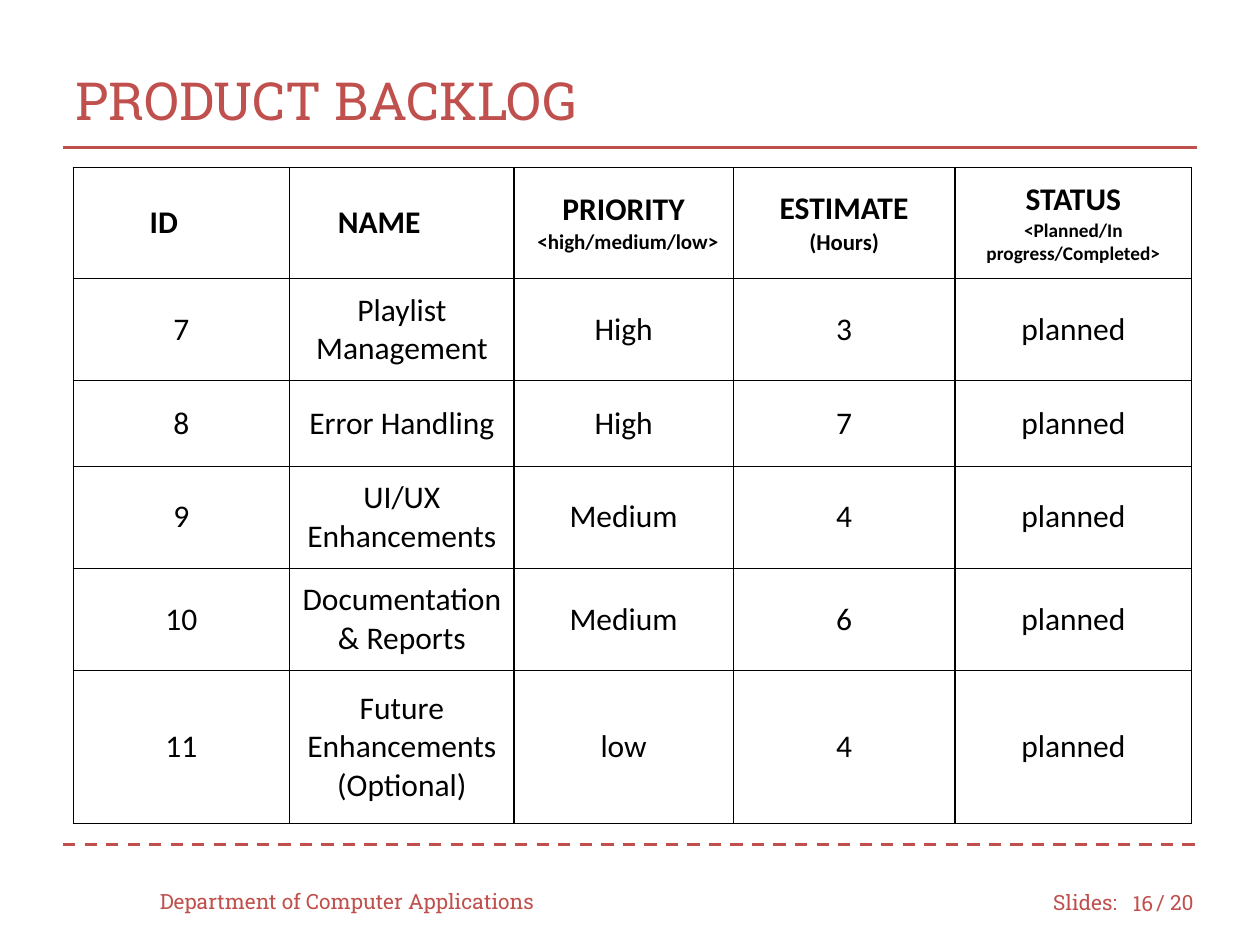
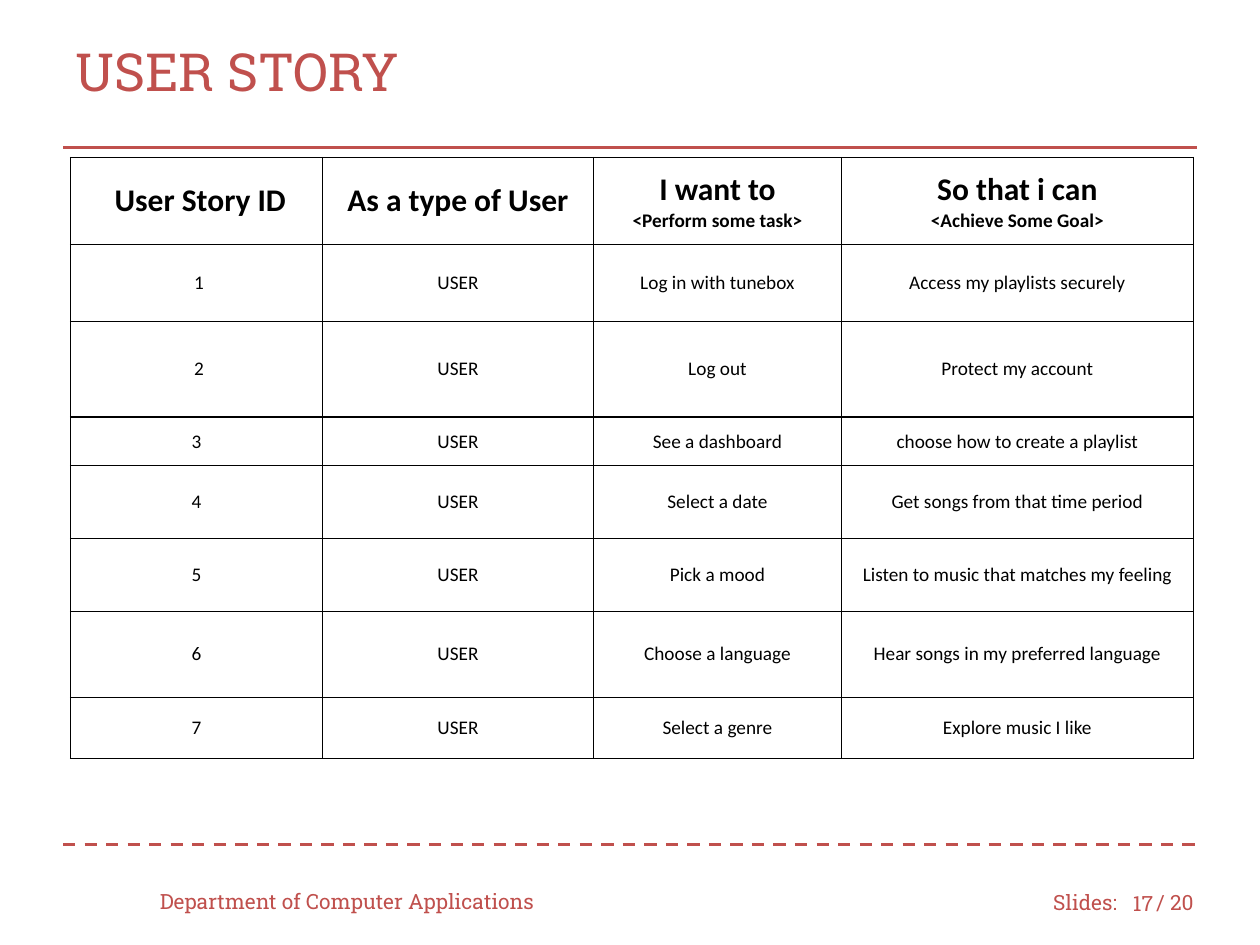
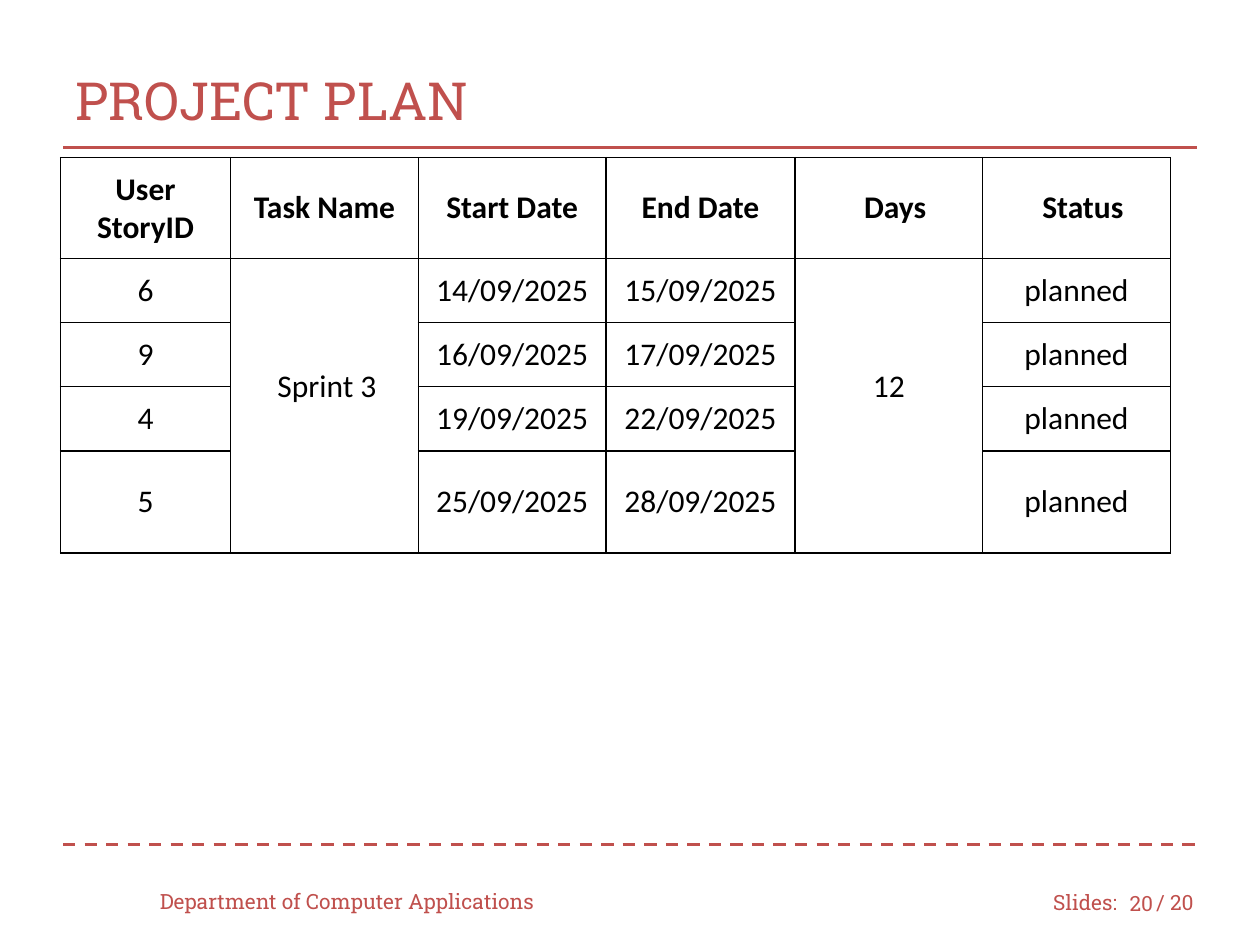
from pptx import Presentation
from pptx.dml.color import RGBColor
from pptx.enum.dml import MSO_LINE
from pptx.enum.shapes import MSO_CONNECTOR
from pptx.enum.text import MSO_ANCHOR, PP_ALIGN
from pptx.oxml import parse_xml
from pptx.oxml.ns import nsdecls, qn
from pptx.util import Inches, Pt
from lxml.etree import SubElement

COLORS = {"accent": "C0504D", "text": "000000", "cell": "FFFFFF"}
BRAND_FONT = "Roboto Slab"
TABLE_FONT = "Calibri"
TITLE_BOX = (0.5, 0.33, 9, 0.92)
CELL_INSET = 0.1
BORDER_WIDTH = 0.75


def color(name):
    return RGBColor.from_string(COLORS[name])


def style_paragraph(para, font, size, tone, align, bold=False):
    para.alignment = align
    for span in para.runs:
        span.font.name = font
        span.font.size = Pt(size)
        span.font.bold = bold
        span.font.color.rgb = color(tone)


def add_title(page, box, text):
    title = page.shapes.title
    title.left, title.top, title.width, title.height = map(Inches, box)
    frame = title.text_frame
    frame.text = text
    frame.vertical_anchor = MSO_ANCHOR.MIDDLE
    style_paragraph(frame.paragraphs[0], BRAND_FONT, 30, "accent", PP_ALIGN.LEFT)


def add_label(page, box, text, align=PP_ALIGN.LEFT):
    frame = page.shapes.add_textbox(*map(Inches, box)).text_frame
    frame.word_wrap = True
    frame.vertical_anchor = MSO_ANCHOR.MIDDLE
    frame.text = text
    style_paragraph(frame.paragraphs[0], BRAND_FONT, 12, "accent", align)


def add_rule(page, left, top, width, dash=None):
    rule = page.shapes.add_connector(
        MSO_CONNECTOR.STRAIGHT,
        Inches(left), Inches(top), Inches(left + width), Inches(top),
    )
    rule.line.color.rgb = color("accent")
    rule.line.width = Pt(1.75)
    rule.line.dash_style = dash
    SubElement(rule._element.spPr, qn("a:effectLst"))


def add_footer(page, box, number):
    left, top, width = box
    add_rule(page, left, top, width, MSO_LINE.DASH)
    add_label(page, (left + 0.67, top + 0.25, 3.33, 0.4), "Department of Computer Applications")
    add_label(page, (left + 7.76, top + 0.26, 0.75, 0.4), "Slides:")
    add_label(page, (left + 8.33, top + 0.27, 0.42, 0.4), str(number), PP_ALIGN.RIGHT)
    add_label(page, (left + 8.58, top + 0.26, 0.58, 0.4), "/ 20")


def add_page(deck, title, number, title_box=TITLE_BOX):
    page = deck.slides.add_slide(deck.slide_layouts.get_by_name("Title Only"))
    add_title(page, title_box, title)
    add_rule(page, 0.5, 1.17, 9)
    add_footer(page, (0.5, 6.7, 9), number)
    return page


def add_borders(cell):
    properties = cell._tc.get_or_add_tcPr()
    for position, side in enumerate(("lnL", "lnR", "lnT", "lnB")):
        properties.insert(position, parse_xml(
            f'<a:{side} {nsdecls("a")} w="{Pt(BORDER_WIDTH)}"><a:solidFill>'
            f'<a:srgbClr val="{COLORS["text"]}"/></a:solidFill></a:{side}>'
        ))


def fill_cell(cell, content, size, bold, shift):
    lines = [(content, size)] if isinstance(content, str) else content
    cell.margin_left = Inches(CELL_INSET + 2 * max(shift, 0))
    cell.margin_right = Inches(CELL_INSET + 2 * max(-shift, 0))
    cell.margin_top = cell.margin_bottom = Inches(CELL_INSET)
    cell.vertical_anchor = MSO_ANCHOR.MIDDLE
    cell.fill.solid()
    cell.fill.fore_color.rgb = color("cell")
    add_borders(cell)
    cell.text_frame.text = "\n".join(text for text, _ in lines)
    for para, (_, line_size) in zip(cell.text_frame.paragraphs, lines):
        style_paragraph(para, TABLE_FONT, line_size, "text", PP_ALIGN.CENTER, bold)


def add_grid(page, origin, widths, heights, rows, size=18, header=True, shifts=None):
    left, top = origin
    frame = page.shapes.add_table(
        len(rows), len(widths), Inches(left), Inches(top),
        Inches(sum(widths)), Inches(sum(heights)),
    )
    table = frame.table
    table.first_row = table.horz_banding = False
    for column, width in zip(table.columns, widths):
        column.width = Inches(width)
    for row, height in zip(table.rows, heights):
        row.height = Inches(height)
    for row_index, contents in enumerate(rows):
        heading = header and row_index == 0
        for column_index, content in enumerate(contents):
            fill_cell(
                table.cell(row_index, column_index), content,
                18 if heading else size, heading,
                (shifts or {}).get((row_index, column_index), 0),
            )
    return table


def build_backlog(deck):
    page = add_page(deck, "PRODUCT BACKLOG", 16)
    header = [
        "ID",
        "NAME",
        [("PRIORITY", 18), ("<high/medium/low>", 12)],
        [("ESTIMATE", 18), ("(Hours)", 13)],
        [("STATUS", 18), ("<Planned/In progress/Completed>", 11)],
    ]
    items = [
        ("7", "Playlist Management", "High", "3"),
        ("8", "Error Handling", "High", "7"),
        ("9", "UI/UX Enhancements", "Medium", "4"),
        ("10", "Documentation & Reports", "Medium", "6"),
        ("11", "Future Enhancements (Optional)", "low", "4"),
    ]
    table = add_grid(
        page, (0.58, 1.33),
        [1.72, 1.78, 1.74, 1.76, 1.88],
        [0.88, 0.81, 0.68, 0.81, 0.81, 1.22],
        [header] + [(*item, "planned") for item in items],
        shifts={(0, 0): -0.14, (0, 1): -0.18},
    )
    priority_note = table.cell(0, 2).text_frame.paragraphs[1]
    priority_note._p.get_or_add_pPr().set("marL", str(Inches(0.07)))


def build_user_story(deck):
    page = add_page(deck, "USER STORY", 17, (0.5, 0.2, 9, 0.72))
    header = [
        "User Story ID",
        "As a type of User",
        [("I want to", 18), ("<Perform some task>", 11)],
        [("So that i can", 18), ("<Achieve Some Goal>", 11)],
    ]
    stories = [
        ("Log in with tunebox", "Access my playlists securely"),
        ("Log out", "Protect my account"),
        ("See a dashboard", "choose how to create a playlist"),
        ("Select a date", "Get songs from that time period"),
        ("Pick a mood", "Listen to music that matches my feeling"),
        ("Choose a language", "Hear songs in my preferred language"),
        ("Select a genre", "Explore music I like"),
    ]
    add_grid(
        page, (0.56, 1.25),
        [2, 2.15, 1.97, 2.79],
        [0.69, 0.61, 0.76, 0.38, 0.58, 0.58, 0.68, 0.49],
        [header] + [(str(number), "USER", *story) for number, story in enumerate(stories, 1)],
        size=11,
        shifts={(0, 0): 0.03, (1, 0): 0.02, (2, 0): 0.02},
    )


def build_project_plan(deck):
    page = add_page(deck, "PROJECT PLAN", 20)
    widths = [1.35, 1.49, 1.49, 1.5, 1.49, 1.49]
    left, top, header_height = 0.48, 1.25, 0.8
    header = [[("User", 18), ("StoryID", 18)], "Task Name", "Start Date", "End Date", "Days", "Status"]
    add_grid(
        page, (left, top), widths, [header_height], [header],
        shifts={(0, 4): 0.05, (0, 5): 0.05},
    )
    tasks = [
        ("6", "Sprint 3", "14/09/2025", "15/09/2025", "12", "planned"),
        ("9", "", "16/09/2025", "17/09/2025", "", "planned"),
        ("4", "", "19/09/2025", "22/09/2025", "", "planned"),
        ("5", "", "25/09/2025", "28/09/2025", "", "planned"),
    ]
    table = add_grid(
        page, (left, top + header_height), widths, [0.51, 0.51, 0.51, 0.81], tasks,
        header=False, shifts={(0, 1): 0.02},
    )
    for column in (1, 4):
        merged = table.cell(0, column)
        merged.merge(table.cell(len(tasks) - 1, column))
        merged.margin_bottom = Inches(0.4)


def main():
    deck = Presentation()
    deck.slide_width, deck.slide_height = Inches(10), Inches(7.5)
    build_backlog(deck)
    build_user_story(deck)
    build_project_plan(deck)
    deck.save("out.pptx")


if __name__ == "__main__":
    main()
